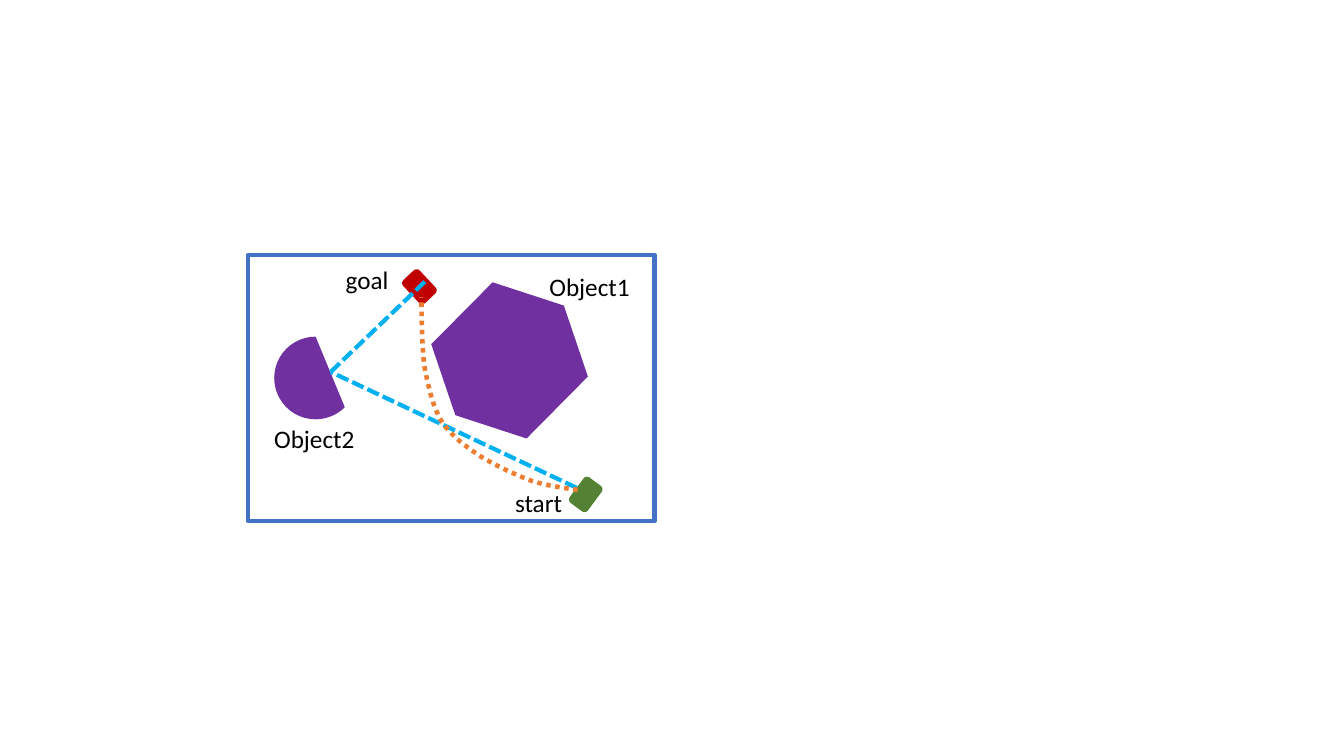
from pptx import Presentation
from pptx.dml.color import RGBColor
from pptx.enum.dml import MSO_LINE
from pptx.enum.shapes import MSO_CONNECTOR, MSO_SHAPE
from pptx.enum.text import MSO_AUTO_SIZE
from pptx.oxml.ns import qn
from pptx.util import Inches, Pt
from lxml.etree import SubElement

COLORS = {"frame": "4472C4", "object": "7030A0", "start": "548235",
          "goal": "C00000", "direct": "00B0F0", "curve": "ED7D31",
          "text": "000000"}

deck = Presentation()
deck.slide_width, deck.slide_height = Inches(13.33), Inches(7.5)
slide = deck.slides.add_slide(deck.slide_layouts[6])
shapes = slide.shapes


def color(name):
    return RGBColor.from_string(COLORS[name])


def label(text, left, top, width, height=0.4, size=18, font="Calibri"):
    box = shapes.add_textbox(*map(Inches, (left, top, width, height)))
    frame = box.text_frame
    frame.word_wrap = False
    frame.auto_size = MSO_AUTO_SIZE.SHAPE_TO_FIT_TEXT
    run = frame.paragraphs[0].add_run()
    run.text = text
    run.font.size = Pt(size)
    run.font.name = font
    run.font.color.rgb = color("text")


# Frame, objects, start and goal: kind, box, turn, fill, line, line width
parts = [
    (MSO_SHAPE.CHORD, (2.72, 3.34, 0.82, 0.82), 0, "object", None, 0),
    (MSO_SHAPE.HEXAGON, (4.29, 2.91, 1.53, 1.33), 314.7, "object", None, 0),
    (MSO_SHAPE.RECTANGLE, (2.46, 2.53, 4.03, 2.64), 0, None, "frame", 3.25),
    (MSO_SHAPE.ROUNDED_RECTANGLE, (5.66, 4.8, 0.3, 0.21), 306.5,
     "start", "start", 1),
    (MSO_SHAPE.ROUNDED_RECTANGLE, (4.01, 2.74, 0.3, 0.21), 46.8,
     "goal", "goal", 1),
]
for kind, box, turn, fill, line, width in parts:
    shape = shapes.add_shape(kind, *map(Inches, box))
    shape.rotation = turn
    shape.shadow.inherit = False
    if fill:
        shape.fill.solid()
        shape.fill.fore_color.rgb = color(fill)
    else:
        shape.fill.background()
    if line:
        shape.line.color.rgb = color(line)
        shape.line.width = Pt(width)
    else:
        shape.line.fill.background()

# Dashed path from start to goal by way of Object2
stops = [(5.72, 4.84), (3.28, 3.69), (4.24, 2.77)]
for tail, head in zip(stops, stops[1:]):
    leg = shapes.add_connector(MSO_CONNECTOR.STRAIGHT,
                               *map(Inches, tail + head))
    leg.line.color.rgb = color("direct")
    leg.line.width = Pt(3)
    leg.line.dash_style = MSO_LINE.SQUARE_DOT
    SubElement(leg.element.spPr, qn("a:effectLst"))

# Dotted curve: Bezier pieces, each sampled in equal steps
knots = [(5.73, 4.86), (5.58, 4.84), (5.43, 4.82), (5.27, 4.77),
         (5.11, 4.71), (4.92, 4.62), (4.77, 4.53),
         (4.62, 4.43), (4.48, 4.33), (4.38, 4.18),
         (4.29, 4.03), (4.25, 3.84), (4.21, 3.64),
         (4.18, 3.43), (4.18, 2.95), (4.18, 2.95)]
steps = 8
points = []
for first in range(0, len(knots) - 1, 3):
    for step in range(1, steps + 1):
        t = step / steps
        parts = ((1 - t) ** 3, 3 * t * (1 - t) ** 2, 3 * t * t * (1 - t), t ** 3)
        points.append(tuple(
            Inches(sum(p * knot[axis] for p, knot in zip(parts, knots[first:])))
            for axis in (0, 1)))
pen = shapes.build_freeform(*map(Inches, knots[0]))
pen.add_line_segments(points, close=False)
curve = pen.convert_to_shape()
curve.shadow.inherit = False
curve.fill.background()
curve.line.color.rgb = color("curve")
curve.line.width = Pt(3.25)
curve.line.dash_style = MSO_LINE.ROUND_DOT

# Labels
for text, left, top, width in [("goal", 3.33, 2.57, 0.63),
                               ("start", 5.01, 4.79, 0.67),
                               ("Object1", 5.35, 2.64, 1.01),
                               ("Object2", 2.62, 4.15, 1.01)]:
    label(text, left, top, width)

deck.save("out.pptx")
